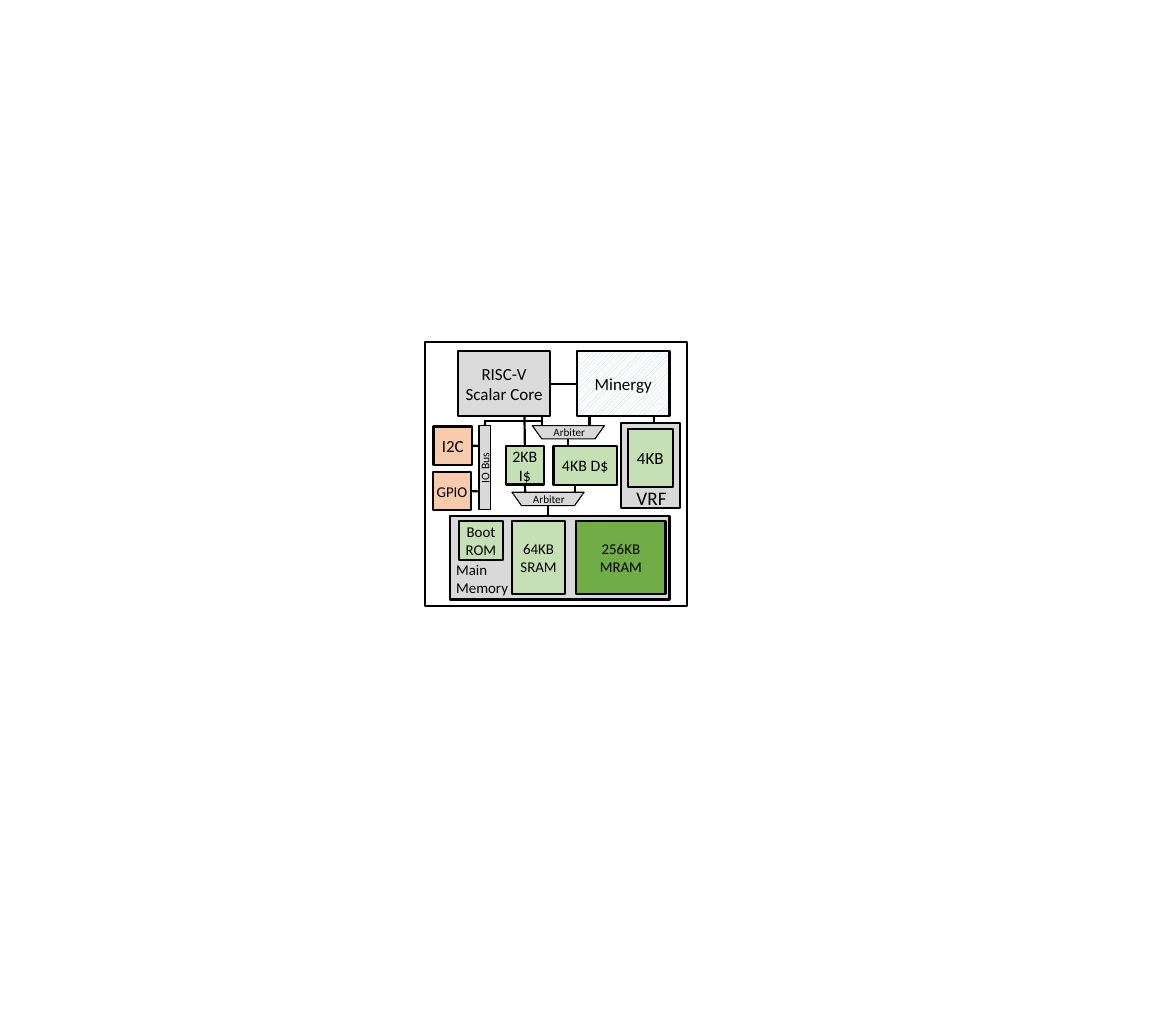
"""Draw a block diagram of a RISC-V chip with its caches, buses and memory."""
from lxml.etree import SubElement
from pptx import Presentation
from pptx.dml.color import RGBColor as Rgb
from pptx.enum.dml import MSO_PATTERN_TYPE as Pattern
from pptx.enum.shapes import MSO_CONNECTOR as Link, MSO_SHAPE as Kind
from pptx.enum.text import MSO_ANCHOR as Anchor, MSO_AUTO_SIZE as Fit, PP_ALIGN as Align
from pptx.oxml.ns import qn
from pptx.util import Inches, Pt

HUES = {
    "ink": "000000",
    "paper": "FFFFFF",
    "gray": "D9D9D9",
    "core": "DBDBDB",
    "mint": "C5E0B4",
    "green": "70AD47",
    "peach": "F8CBAD",
    "hatch": "B4C7E7",
}
TOP, LEFT, BOTTOM, RIGHT = range(4)

BLOCKS = {
    "frame": ((5.42, 4.36, 3.34, 3.37), None, "", 0),
    "vrf": ((7.92, 5.4, 0.75, 1.08), "gray", "", 0),
    "main": ((5.74, 6.58, 2.8, 1.07), "gray", "", 0),
    "core": ((5.84, 4.48, 1.18, 0.83), "core", "RISC-V\nScalar Core", 15.6),
    "unit": ((7.36, 4.48, 1.18, 0.83), "hatch", "Minergy", 15.6),
    "icache": ((6.45, 5.69, 0.49, 0.49), "mint", "2KB\nI$", 14.6),
    "dcache": ((7.06, 5.69, 0.81, 0.5), "mint", "4KB D$", 14.6),
    "i2c": ((5.53, 5.44, 0.49, 0.49), "peach", "I2C", 15.6),
    "gpio": ((5.52, 6.02, 0.49, 0.49), "peach", "GPIO", 13.7),
    "boot": ((5.85, 6.65, 0.57, 0.49), "mint", "Boot ROM", 13.7),
    "sram": ((6.53, 6.65, 0.68, 0.93), "mint", "64KB\nSRAM", 13.7),
    "mram": ((7.35, 6.65, 1.14, 0.93), "green", "256KB\nMRAM", 13.7),
    "file": ((8.01, 5.47, 0.57, 0.74), "mint", "4KB", 15.6),
}

WIRES = [
    ((7.02, 4.89), (7.36, 4.89), ("core", RIGHT), ("unit", LEFT)),
    ((6.7, 5.69), (6.69, 5.31), ("icache", TOP), None),
    ((6.7, 6.18), (6.7, 6.28), ("icache", BOTTOM), None),
    ((6.02, 5.69), (6.11, 5.69), ("i2c", RIGHT), None),
    ((6.01, 6.27), (6.11, 6.27), ("gpio", RIGHT), None),
    ((6.19, 5.43), (6.19, 5.36), ("bus", TOP), None),
    ((6.91, 5.37), (6.19, 5.37), None, None),
    ((6.91, 5.31), (6.91, 5.43), None, None),
    ((7.52, 5.31), (7.52, 5.43), None, None),
    ((8.34, 5.31), (8.34, 5.4), None, None),
    ((7.25, 5.6), (7.25, 5.69), None, None),
    ((7.33, 6.19), (7.33, 6.28), None, None),
    ((6.99, 6.45), (6.99, 6.58), None, None),
]


def tint(name):
    """Return the named colour."""
    return Rgb.from_string(HUES[name])


def write(frame, text, size=13.7, align=Align.CENTER, hue="ink"):
    """Fill a text frame, one paragraph a line."""
    frame.text = text
    for para in frame.paragraphs:
        para.alignment = align
        para.font.name = "Calibri"
        para.font.size = Pt(size)
        para.font.color.rgb = tint(hue)


def block(slide, area, hue, text="", size=0, kind=Kind.RECTANGLE, line=2):
    """Add an outlined shape with centred text."""
    shape = slide.shapes.add_shape(kind, *map(Inches, area))
    shape.shadow.inherit = False
    shape.line.color.rgb = tint("ink")
    shape.line.width = Pt(line)
    fill = shape.fill
    if hue is None:
        fill.background()
    elif hue == "hatch":
        fill.patterned()
        fill.pattern = Pattern.WIDE_UPWARD_DIAGONAL
        fill.fore_color.rgb = tint(hue)
        fill.back_color.rgb = tint("paper")
    else:
        fill.solid()
        fill.fore_color.rgb = tint(hue)
    if text:
        frame = shape.text_frame
        frame.word_wrap = True
        frame.vertical_anchor = Anchor.MIDDLE
        frame.margin_left = frame.margin_right = 0
        frame.margin_top = frame.margin_bottom = 0
        write(frame, text, size)
    return shape


def label(slide, area, text, turn=0, **style):
    """Add a text box that fits its text."""
    box = slide.shapes.add_textbox(*map(Inches, area))
    box.rotation = turn
    box.text_frame.word_wrap = False
    box.text_frame.auto_size = Fit.SHAPE_TO_FIT_TEXT
    write(box.text_frame, text, **style)


def funnel(slide, left, top):
    """Add an arbiter with its label."""
    shape = block(slide, (left, top, 0.92, 0.17), "gray", kind=Kind.TRAPEZOID, line=1)
    shape.rotation = 180
    shape.adjustments[0] = 0.714
    label(slide, (left + 0.17, top - 0.05, 0.61, 0.27), "Arbiter", size=10.2, align=Align.LEFT)


def wire(slide, start, end, head, tail, parts):
    """Add a line, joined to blocks where named."""
    line = slide.shapes.add_connector(Link.STRAIGHT, *map(Inches, start + end))
    line.line.color.rgb = tint("ink")
    line.line.width = Pt(2)
    SubElement(line._element.spPr, qn("a:effectLst"))
    if head:
        line.begin_connect(parts[head[0]], head[1])
    if tail:
        line.end_connect(parts[tail[0]], tail[1])


def main():
    """Build the slide and save it."""
    deck = Presentation()
    deck.slide_width, deck.slide_height = Inches(15), Inches(13)
    slide = deck.slides.add_slide(deck.slide_layouts[6])
    parts = {name: block(slide, *spec) for name, spec in BLOCKS.items()}
    parts["bus"] = block(slide, (6.11, 5.43, 0.15, 1.07), "gray", line=1)
    for start, end, head, tail in WIRES:
        wire(slide, start, end, head, tail, parts)
    funnel(slide, 6.79, 5.43)
    funnel(slide, 6.53, 6.28)
    label(slide, (5.89, 5.83, 0.59, 0.28), "IO Bus", turn=270, size=10.7)
    label(slide, (5.72, 7.1, 0.86, 0.56), "Main\nMemory", align=Align.LEFT)
    label(slide, (8.02, 6.16, 0.59, 0.4), "VRF", size=17.6, align=Align.LEFT)
    deck.save("out.pptx")


if __name__ == "__main__":
    main()
